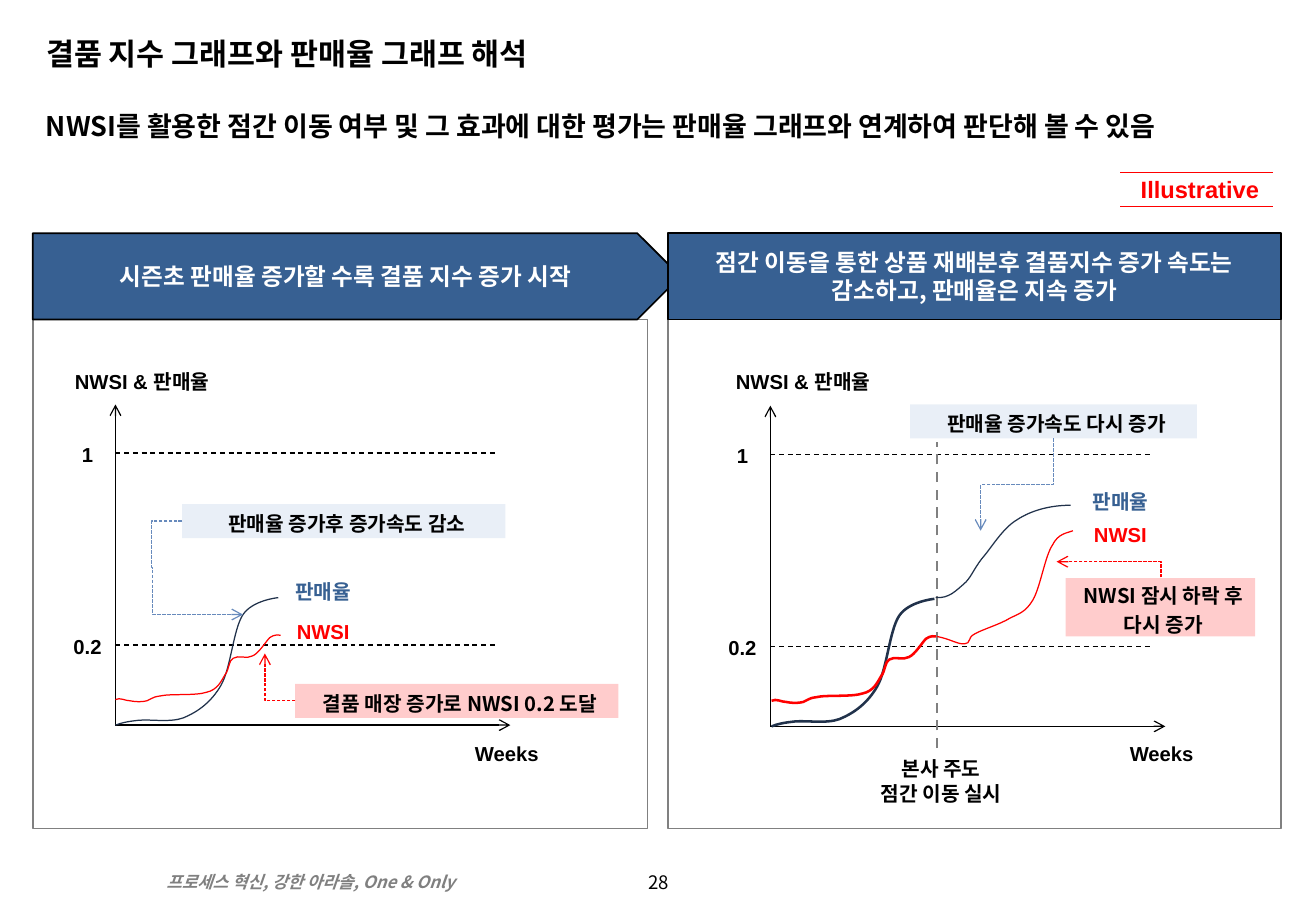
from lxml import etree
from pptx import Presentation
from pptx.dml.color import RGBColor
from pptx.enum.dml import MSO_LINE as Dash
from pptx.enum.shapes import MSO_CONNECTOR as Link, MSO_SHAPE as Shape
from pptx.enum.text import MSO_ANCHOR as Anchor, PP_ALIGN as Align
from pptx.oxml.ns import qn
from pptx.util import Inches, Pt

COLORS = {
    "black": "000000", "white": "FFFFFF", "gray": "808080", "red": "FF0000",
    "blue": "376092", "navy": "21324B", "pale": "95B3D7", "steel": "678ABC",
}
KOREAN, LATIN = "Noto Sans CJK KR", "Arial"
TITLE = "결품 지수 그래프와 판매율 그래프 해석"
MESSAGE = "NWSI를 활용한 점간 이동 여부 및 그 효과에 대한 평가는 판매율 그래프와 연계하여 판단해 볼 수 있음"
FOOTER = "프로세스 혁신, 강한 아라솔, One & Only"

PANELS = [
    {"left": 0.27, "width": 5.06, "shape": Shape.PENTAGON, "header_width": 5.33, "wrap": False,
     "header": "시즌초 판매율 증가할 수록 결품 지수 증가 시작",
     "origin": (0.95, 5.97), "axis_label": (0.44, 1.41), "names": (2.26, 4.74, 5.07),
     "curve_shift": (0, 0), "curve_weight": 0.75},
    {"left": 5.5, "width": 5.04, "shape": Shape.RECTANGLE, "header_width": 5.04, "wrap": True,
     "header": "점간 이동을 통한 상품 재배분후 결품지수 증가 속도는 감소하고, 판매율은 지속 증가",
     "origin": (6.34, 5.98), "axis_label": (5.75, 1.67), "names": (8.82, 4, 4.27),
     "curve_shift": (5.4, 0.01), "curve_weight": 1.5},
]

EARLY_NWSI = [
    (0.95, 5.76), (0.99, 5.74), (1.03, 5.77), (1.07, 5.77), (1.12, 5.78), (1.17, 5.78),
    (1.21, 5.77), (1.25, 5.76), (1.24, 5.74), (1.32, 5.73), (1.4, 5.71), (1.61, 5.73),
    (1.7, 5.7), (1.79, 5.68), (1.82, 5.61), (1.85, 5.56), (1.89, 5.51), (1.88, 5.44),
    (1.92, 5.42), (1.96, 5.39), (2.03, 5.43), (2.08, 5.4), (2.13, 5.38), (2.19, 5.28),
    (2.22, 5.25), (2.26, 5.22), (2.29, 5.23), (2.31, 5.23)]
EARLY_SALES = [
    (0.95, 5.97), (1, 5.95), (1.05, 5.94), (1.14, 5.93), (1.24, 5.92), (1.4, 5.95),
    (1.51, 5.91), (1.63, 5.86), (1.74, 5.78), (1.82, 5.64), (1.9, 5.5), (1.92, 5.18),
    (2, 5.06), (2.08, 4.94), (2.29, 4.92), (2.29, 4.92)]
LATE_NWSI = [
    (7.71, 5.24), (7.82, 5.26), (7.89, 5.31), (7.94, 5.3), (7.99, 5.3), (7.96, 5.25),
    (8.02, 5.22), (8.09, 5.18), (8.23, 5.14), (8.31, 5.09), (8.39, 5.05), (8.44, 5.04),
    (8.5, 4.94), (8.56, 4.84), (8.6, 4.58), (8.66, 4.49), (8.71, 4.39), (8.78, 4.39), (8.83, 4.37)]
LATE_SALES = [
    (7.7, 4.92), (7.81, 4.93), (7.87, 4.86), (7.93, 4.81), (7.99, 4.76), (8.01, 4.69),
    (8.08, 4.6), (8.16, 4.51), (8.25, 4.35), (8.37, 4.28), (8.49, 4.2), (8.65, 4.16), (8.81, 4.16)]

CALLOUTS = [
    ("결품 매장 증가로 NWSI 0.2 도달", "red", (2.43, 5.63, 2.66, 0.28)),
    ("판매율 증가후 증가속도 감소", "pale", (1.5, 4.15, 2.66, 0.28)),
    ("NWSI 잠시 하락 후 다시 증가", "red", (8.77, 4.76, 1.56, 0.48)),
    ("판매율 증가속도 다시 증가", "pale", (7.49, 3.33, 2.36, 0.28)),
]
POINTERS = [
    ("steel", "bentConnector5", (1.5, 4.29, 0.5, 0.77), {"rot": 180, "flipH": 1, "flipV": 1}, (-0.5, 0.5, -0.49)),
    ("red", "bentConnector2", (2.18, 5.38, 0.25, 0.39), {"rot": 180}, ()),
    ("steel", "bentConnector3", (7.99, 3.69, 0.76, 0.6), {"rot": 90}, (0.5,)),
    ("red", "bentConnector2", (9.06, 4.26, 0.13, 0.86), {"rot": 270, "flipV": 1}, ()),
]

deck = Presentation()
deck.slide_width, deck.slide_height = Inches(10.83), Inches(7.5)
page = deck.slides.add_slide(deck.slide_layouts[5])
shapes = page.shapes


def rgb(name):
    return RGBColor.from_string(COLORS[name])


def write(box, lines, size=12, color="black", font=KOREAN, bold=True, italic=False, align=Align.CENTER,
          anchor=Anchor.MIDDLE, insets=(0.05, 0, 0, 0), spacing=1.0, wrap=True):
    frame = box.text_frame
    frame.word_wrap = wrap
    frame.vertical_anchor = anchor
    frame.margin_left, frame.margin_top, frame.margin_right, frame.margin_bottom = map(Inches, insets)
    for index, line in enumerate(lines):
        para = frame.add_paragraph() if index else frame.paragraphs[0]
        para.alignment, para.line_spacing, para.space_before = align, spacing, Pt(0)
        span = para.add_run()
        span.text = line
        span.font.size, span.font.bold, span.font.italic = Pt(size), bold, italic
        span.font.color.rgb = rgb(color)
        span.font.name = font


def label(text, place, **style):
    write(shapes.add_textbox(*map(Inches, place)), text.split("\n"), **style)


def block(kind, place, fill, line=None, alpha=None):
    box = shapes.add_shape(kind, *map(Inches, place))
    box.shadow.inherit = False
    box.fill.solid()
    box.fill.fore_color.rgb = rgb(fill)
    if alpha:
        color = box.fill._xPr.find(qn("a:solidFill"))[0]
        etree.SubElement(color, qn("a:alpha"), val=str(alpha * 1000))
    if line:
        box.line.color.rgb, box.line.width = rgb(line), Pt(1)
    else:
        box.line.fill.background()
    return box


def connect(start, end, color="black", weight=0.75, dash=None, arrow=False, kind=Link.STRAIGHT):
    link = shapes.add_connector(kind, *map(Inches, (*start, *end)))
    link.line.color.rgb, link.line.width = rgb(color), Pt(weight)
    if dash:
        link.line.dash_style = dash
    if arrow:
        etree.SubElement(link.line._get_or_add_ln(), qn("a:tailEnd"), type="arrow")
    etree.SubElement(link._element.spPr, qn("a:effectLst"))
    return link


def point(color, preset, place, turn, adjusts):
    left, top, width, height = place
    link = connect((left, top), (left + width, top + height), color, dash=Dash.SQUARE_DOT,
                   arrow=True, kind=Link.ELBOW)
    props = link._element.spPr
    for key, value in turn.items():
        props.find(qn("a:xfrm")).set(key, str(value * 60000 if key == "rot" else value))
    geometry = props.find(qn("a:prstGeom"))
    geometry.set("prst", preset)
    guides = geometry.find(qn("a:avLst"))
    for number, value in enumerate(adjusts, 1):
        etree.SubElement(guides, qn("a:gd"), name=f"adj{number}", fmla=f"val {round(value * 100000)}")


def curve(knots, color, weight, shift=(0, 0)):
    knots = [(Inches(x + shift[0]), Inches(y + shift[1])) for x, y in knots]
    builder = shapes.build_freeform(*knots[0])
    builder.add_line_segments(knots[1:], close=False)
    stroke = builder.convert_to_shape()
    steps = list(stroke._element.spPr.iter(qn("a:lnTo")))
    outline = steps[0].getparent()
    for index, step in enumerate(steps):
        if index % 3 == 0:
            bend = etree.SubElement(outline, qn("a:cubicBezTo"))
        bend.append(step[0])
        outline.remove(step)
    stroke.shadow.inherit = False
    stroke.fill.background()
    stroke.line.color.rgb, stroke.line.width = rgb(color), Pt(weight)


def draw_panel(panel):
    left = panel["left"]
    block(Shape.RECTANGLE, (left, 2.63, panel["width"], 4.19), "white", "gray")
    header = block(panel["shape"], (left, 1.92, panel["header_width"], 0.71), "blue", "black")
    write(header, [panel["header"]], 14, "white", insets=(0.06, 0, 0.06, 0), wrap=panel["wrap"])
    x, y = panel["origin"]
    connect((x, y), (x + 3.25, y), arrow=True)
    connect((x, y), (x, y - 2.64), arrow=True)
    for tick, rise in (("1", 2.24), ("0.2", 0.66)):
        connect((x, y - rise), (x + 3.14, y - rise), dash=Dash.DASH)
        label(tick, (x - 0.51, y - rise - 0.14, 0.51, 0.26), font=LATIN, spacing=1.2)
    label("Weeks", (x + 2.84, 6.05, 0.71, 0.26), font=LATIN, spacing=1.2)
    label_left, label_width = panel["axis_label"]
    label("NWSI & 판매율", (label_left, 3, label_width, 0.24), font=LATIN, spacing=1.2)
    name_left, sales_top, nwsi_top = panel["names"]
    label("판매율", (name_left, sales_top, 0.75, 0.22), color="blue", font=LATIN, spacing=1.2)
    label("NWSI", (name_left, nwsi_top, 0.75, 0.22), color="red", font=LATIN, spacing=1.2)
    for knots, color in ((EARLY_SALES, "navy"), (EARLY_NWSI, "red")):
        curve(knots, color, panel["curve_weight"], panel["curve_shift"])


title = shapes.title
title.left, title.top, title.width, title.height = map(Inches, (0.28, 0.24, 10.24, 0.46))
plain = {"align": Align.LEFT, "anchor": Anchor.TOP, "insets": (0.1, 0.05, 0.1, 0.05)}
write(title, [TITLE], 18, **plain)
label(MESSAGE, (0.28, 0.85, 10.26, 0.83), size=16, **plain)
label(FOOTER, (1.27, 7.13, 3.32, 0.27), size=10, color="gray", italic=True, **plain)
label("28", (4.92, 7.13, 1, 0.3), size=11, bold=False, spacing=0.8, insets=(0.1, 0.05, 0.1, 0.05))

label("Illustrative", (9.27, 1.39, 1.21, 0.34), size=14, color="red", font=LATIN,
      insets=(0.1, 0.05, 0.1, 0.05), wrap=False)
for rule_top in (1.42, 1.7):
    connect((9.22, rule_top), (10.48, rule_top), "red", 0.25)

for panel in PANELS:
    draw_panel(panel)

connect((7.71, 6.16), (7.71, 3.64), "gray", 1.5, Dash.DASH)
label("본사 주도\n점간 이동 실시", (7.1, 6.23, 1.24, 0.4))
curve(LATE_NWSI, "red", 0.75)
curve(LATE_SALES, "navy", 0.75)

for text, color, place in CALLOUTS:
    write(block(Shape.RECTANGLE, place, color, alpha=20), [text], spacing=1.2)
for pointer in POINTERS:
    point(*pointer)

deck.save("out.pptx")
